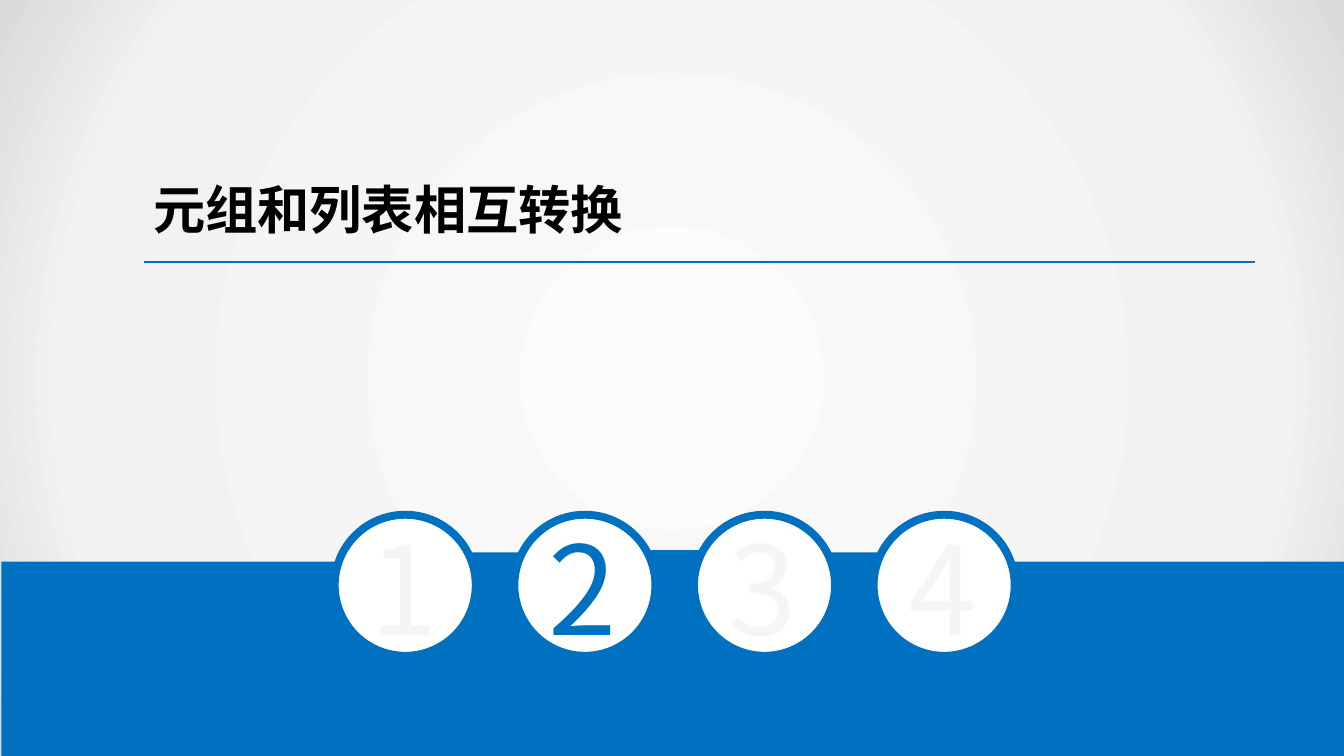
import math

from lxml import etree
from pptx import Presentation
from pptx.dml.color import RGBColor
from pptx.enum.shapes import MSO_CONNECTOR, MSO_SHAPE
from pptx.enum.text import MSO_ANCHOR, PP_ALIGN
from pptx.oxml import parse_xml
from pptx.oxml.ns import nsdecls, qn
from pptx.util import Inches, Pt

RECTANGLE = MSO_SHAPE.RECTANGLE
OVAL = MSO_SHAPE.OVAL
STRAIGHT = MSO_CONNECTOR.STRAIGHT
MIDDLE = MSO_ANCHOR.MIDDLE
LEFT = PP_ALIGN.LEFT
CENTER = PP_ALIGN.CENTER

BLUE = RGBColor(0x00, 0x70, 0xC0)
WHITE = RGBColor(0xFF, 0xFF, 0xFF)
BLACK = RGBColor(0x00, 0x00, 0x00)
FAINT = RGBColor(0xF5, 0xF5, 0xF5)
PALE = RGBColor(0xF2, 0xF2, 0xF2)
GLOW_STOPS = ((0, "FBFBFB"), (79, "F2F2F2"), (100, "D9D9D9"))

FONT = "Noto Sans CJK SC"
WIDTH = 10
HEIGHT = WIDTH * 9 / 16


def style_text(paragraph, size, color, bold=False):
    for run in paragraph.runs:
        font = run.font
        font.name = FONT
        font.size = Pt(size)
        font.bold = bold
        font.color.rgb = color
        east_asian = etree.SubElement(run._r.get_or_add_rPr(), qn("a:ea"))
        east_asian.set("typeface", FONT)


def paint(shape, fill, line=None, line_width=0):
    shape.shadow.inherit = False
    shape.fill.solid()
    shape.fill.fore_color.rgb = fill
    if line is None:
        shape.line.fill.background()
    else:
        shape.line.color.rgb = line
        shape.line.width = Pt(line_width)


def add_block(slide, kind, left, top, width, height, fill, line=None, line_width=0):
    block = slide.shapes.add_shape(
        kind, Inches(left), Inches(top), Inches(width), Inches(height))
    paint(block, fill, line, line_width)
    return block


def add_backdrop(slide, left, top, width, height):
    slide.background.fill.solid()
    slide.background.fill.fore_color.rgb = PALE
    backdrop = add_block(slide, RECTANGLE, left, top, width, height, PALE)
    stops = "".join(
        f'<a:gs pos="{position * 1000}"><a:srgbClr val="{color}"/></a:gs>'
        for position, color in GLOW_STOPS)
    glow = parse_xml(
        f'<a:gradFill {nsdecls("a")} rotWithShape="1"><a:gsLst>{stops}</a:gsLst>'
        '<a:path path="circle"><a:fillToRect l="50000" t="50000" r="50000" b="50000"/>'
        '</a:path></a:gradFill>')
    properties = backdrop._element.spPr
    properties.replace(properties.find(qn("a:solidFill")), glow)
    slide.shapes._spTree.insert(2, backdrop._element)


def add_heading(slide, left, top, width, height):
    heading = slide.shapes.title
    heading.left, heading.top = Inches(left), Inches(top)
    heading.width, heading.height = Inches(4.24), Inches(height)
    frame = heading.text_frame
    frame.text = "元组和列表相互转换"
    frame.word_wrap = True
    frame.vertical_anchor = MIDDLE
    frame.margin_left = frame.margin_right = Inches(0.07)
    frame.margin_top = frame.margin_bottom = Inches(0.04)
    frame.paragraphs[0].alignment = LEFT
    style_text(frame.paragraphs[0], 28, BLACK, True)

    bottom = Inches(top + height)
    underline = slide.shapes.add_connector(
        STRAIGHT, Inches(left), bottom, Inches(left + width), bottom)
    underline.line.color.rgb = BLUE
    underline.line.width = Pt(1.25)
    etree.SubElement(underline._element.spPr, qn("a:effectLst"))


def add_band(slide, left, top, width, height, notch_centers):
    radius, steps = 0.17, 12
    outline = []
    for center in notch_centers:
        for step in range(steps + 1):
            angle = math.pi * (1 - step / steps)
            outline.append((center + radius * math.cos(angle),
                            top + radius * math.sin(angle)))
    right, bottom = left + width, top + height
    outline += [(right, top), (right, bottom), (left, bottom)]
    builder = slide.shapes.build_freeform(Inches(left), Inches(top))
    builder.add_line_segments([(Inches(x), Inches(y)) for x, y in outline], close=True)
    paint(builder.convert_to_shape(), BLUE)


def add_links(slide, left, top, pitch):
    for index in (1, 2, 0):
        is_middle = index == 1
        add_block(slide, RECTANGLE, left + pitch * index, top, 0.47,
                  0.39 if is_middle else 0.41, BLUE, BLUE if is_middle else None, 2)


def add_steps(slide, left, top, width, diameter, count, current):
    pitch = (width - diameter) / (count - 1)
    gap = pitch - diameter
    gap_centers = [left + diameter + gap / 2 + pitch * i for i in range(count - 1)]
    add_links(slide, left + 0.97, top + 0.28, 1.31)
    add_band(slide, 0.01, 4.18, WIDTH, HEIGHT - 4.18, gap_centers)

    for index in range(count):
        circle_left = left + pitch * index
        add_block(slide, OVAL, circle_left, top, diameter, diameter, WHITE, BLUE, 4.25)
        number = slide.shapes.add_textbox(
            Inches(circle_left + 0.16), Inches(top - 0.07), Inches(0.7), Inches(1.21))
        frame = number.text_frame
        frame.word_wrap = False
        frame.text = str(index + 1)
        frame.paragraphs[0].alignment = CENTER
        style_text(frame.paragraphs[0], 66, BLUE if index + 1 == current else FAINT)


def main():
    presentation = Presentation()
    presentation.slide_width = Inches(WIDTH)
    presentation.slide_height = Inches(HEIGHT)
    slide = presentation.slides.add_slide(presentation.slide_layouts[5])
    add_backdrop(slide, 0, 0, WIDTH, HEIGHT)
    add_heading(slide, 1.07, 1.16, 8.27, 0.79)
    add_steps(slide, 2.49, 3.83, 5.06, 1.05, count=4, current=2)
    presentation.save("out.pptx")


if __name__ == "__main__":
    main()
